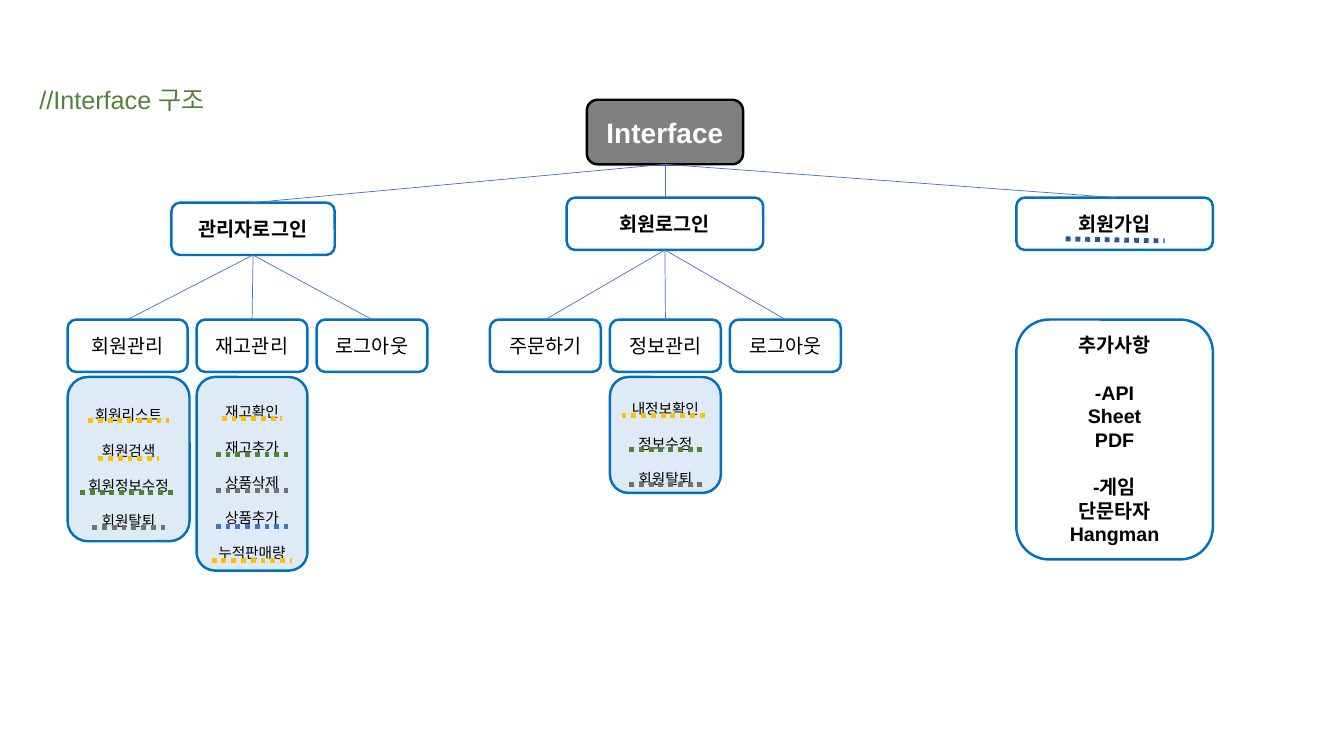
from pptx import Presentation
from pptx.dml.color import RGBColor
from pptx.enum.dml import MSO_LINE
from pptx.enum.shapes import MSO_CONNECTOR, MSO_SHAPE
from pptx.enum.text import MSO_ANCHOR, MSO_AUTO_SIZE, PP_ALIGN
from pptx.util import Inches, Pt
from lxml import etree

ROUND = MSO_SHAPE.ROUNDED_RECTANGLE
STRAIGHT = MSO_CONNECTOR.STRAIGHT
DOTS = MSO_LINE.ROUND_DOT
MIDDLE = MSO_ANCHOR.MIDDLE
LEFT, CENTER = PP_ALIGN.LEFT, PP_ALIGN.CENTER
FIXED = MSO_AUTO_SIZE.NONE
TOP, BOTTOM = 0, 2

WHITE = RGBColor(0xFF, 0xFF, 0xFF)
BLACK = RGBColor(0, 0, 0)
GRAY = RGBColor(0x80, 0x80, 0x80)
BORDER = RGBColor(0x00, 0x70, 0xC0)
PALE = RGBColor(0xDE, 0xEB, 0xF7)
BLUE = RGBColor(0x44, 0x72, 0xC4)
NAVY = RGBColor(0x2F, 0x55, 0x97)
GOLD = RGBColor(0xFF, 0xC0, 0x00)
GREEN = RGBColor(0x54, 0x82, 0x35)
STONE = RGBColor(0x76, 0x71, 0x71)

LEAF_H, LEAF_GAP, PANEL_DROP = 0.52, 0.09, 0.57
DRAWING = "http://schemas.openxmlformats.org/drawingml/2006/main"


def write(shape, lines, size=14, color=BLACK, bold=False, align=CENTER,
          spacing=None, gaps=()):
    """Fill the shape with lines; gaps holds the indexes that start a new group."""
    frame = shape.text_frame
    frame.word_wrap = True
    frame.auto_size = FIXED
    frame.vertical_anchor = MIDDLE
    for i, line in enumerate(lines):
        para = frame.paragraphs[0] if i == 0 else frame.add_paragraph()
        para.alignment = align
        if spacing:
            para.line_spacing = spacing
        if i in gaps:
            para.space_before = Pt(17)
        run = para.add_run()
        run.text = line
        font = run.font
        font.name, font.size, font.bold = "Arial", Pt(size), bold
        font.color.rgb = color


def add_box(slide, box, lines, fill=WHITE, border=BORDER, **style):
    shape = slide.shapes.add_shape(ROUND, *map(Inches, box))
    shape.shadow.inherit = False
    shape.fill.solid()
    shape.fill.fore_color.rgb = fill
    shape.line.color.rgb = border
    shape.line.width = Pt(1.75)
    write(shape, lines, **style)
    return shape


def add_line(slide, start, end, color, width):
    line = slide.shapes.add_connector(STRAIGHT, *map(Inches, (*start, *end)))
    line.line.color.rgb = color
    line.line.width = Pt(width)
    etree.SubElement(line._element.spPr, f"{{{DRAWING}}}effectLst")
    return line


def add_mark(slide, start, end, color):
    add_line(slide, start, end, color, 3.5).line.dash_style = DOTS


def link(slide, parent, child):
    line = add_line(slide, (0, 0), (1, 1), BLUE, 0.5)
    line.begin_connect(parent, BOTTOM)
    line.end_connect(child, TOP)


def add_title(slide, box, text):
    title = slide.shapes.title
    title.left, title.top, title.width, title.height = map(Inches, box)
    title.fill.solid()
    title.fill.fore_color.rgb = WHITE
    write(title, [text], size=18, color=GREEN, align=LEFT)


def add_panel(slide, box, items):
    """Items are (text, mark drop from the panel top, mark width, mark colour)."""
    left, top, width, _ = box
    add_box(slide, box, [item[0] for item in items], fill=PALE,
            size=10.5, spacing=2.0)
    mid = left + width / 2
    for _, drop, span, color in items:
        y = top + drop
        add_mark(slide, (mid - span / 2, y), (mid + span / 2, y), color)


def add_branch(slide, root, name, box, left, top, leaves):
    """Leaves are (text, width, panel), with panel as (width, height, items)."""
    head = add_box(slide, box, [name], bold=True)
    link(slide, root, head)
    for text, width, panel in leaves:
        leaf = add_box(slide, (left, top, width, LEAF_H), [text])
        link(slide, head, leaf)
        if panel:
            wide, high, items = panel
            add_panel(slide, (left, top + PANEL_DROP, wide, high), items)
        left += width + LEAF_GAP


def add_signup(slide, root, box):
    left, top, width, _ = box
    head = add_box(slide, box, ["회원가입"], bold=True)
    link(slide, root, head)
    add_mark(slide, (left + 0.49, top + 0.41), (left + 1.47, top + 0.43), NAVY)
    extras = ["추가사항", "-API", "Sheet", "PDF", "-게임", "단문타자", "Hangman"]
    add_box(slide, (left, top + 1.21, width, 2.38), extras, bold=True, gaps=(1, 4))


MEMBERS = [("회원리스트", 0.43, 0.8, GOLD), ("회원검색", 0.81, 0.6, GOLD),
           ("회원정보수정", 1.15, 0.96, GREEN), ("회원탈퇴", 1.49, 0.72, STONE)]
STOCK = [("재고확인", 0.41, 0.6, GOLD), ("재고추가", 0.77, 0.72, GREEN),
         ("상품삭제", 1.13, 0.72, STONE), ("상품추가", 1.48, 0.72, BLUE),
         ("누적판매량", 1.82, 0.8, GOLD)]
PROFILE = [("내정보확인", 0.38, 0.87, GOLD), ("정보수정", 0.72, 0.72, GREEN),
           ("회원탈퇴", 1.07, 0.72, STONE)]
ADMIN = [("회원관리", 1.19, (1.21, 1.63, MEMBERS)),
         ("재고관리", 1.1, (1.1, 1.92, STOCK)),
         ("로그아웃", 1.1, None)]
USER = [("주문하기", 1.1, None),
        ("정보관리", 1.1, (1.1, 1.15, PROFILE)),
        ("로그아웃", 1.1, None)]


def main():
    deck = Presentation()
    deck.slide_width, deck.slide_height = Inches(13.33), Inches(7.5)
    slide = deck.slides.add_slide(deck.slide_layouts[5])
    add_title(slide, (0.29, 0.76, 2.09, 0.46), "//Interface 구조")
    root = add_box(slide, (5.82, 0.99, 1.55, 0.64), ["Interface"], fill=GRAY,
                   border=BLACK, size=20, color=WHITE, bold=True)
    add_branch(slide, root, "관리자로그인", (1.7, 2.01, 1.62, 0.52), 0.67, 3.17, ADMIN)
    add_branch(slide, root, "회원로그인", (5.62, 1.96, 1.95, 0.52), 4.86, 3.17, USER)
    add_signup(slide, root, (10.08, 1.96, 1.95, 0.52))
    deck.save("out.pptx")


if __name__ == "__main__":
    main()
